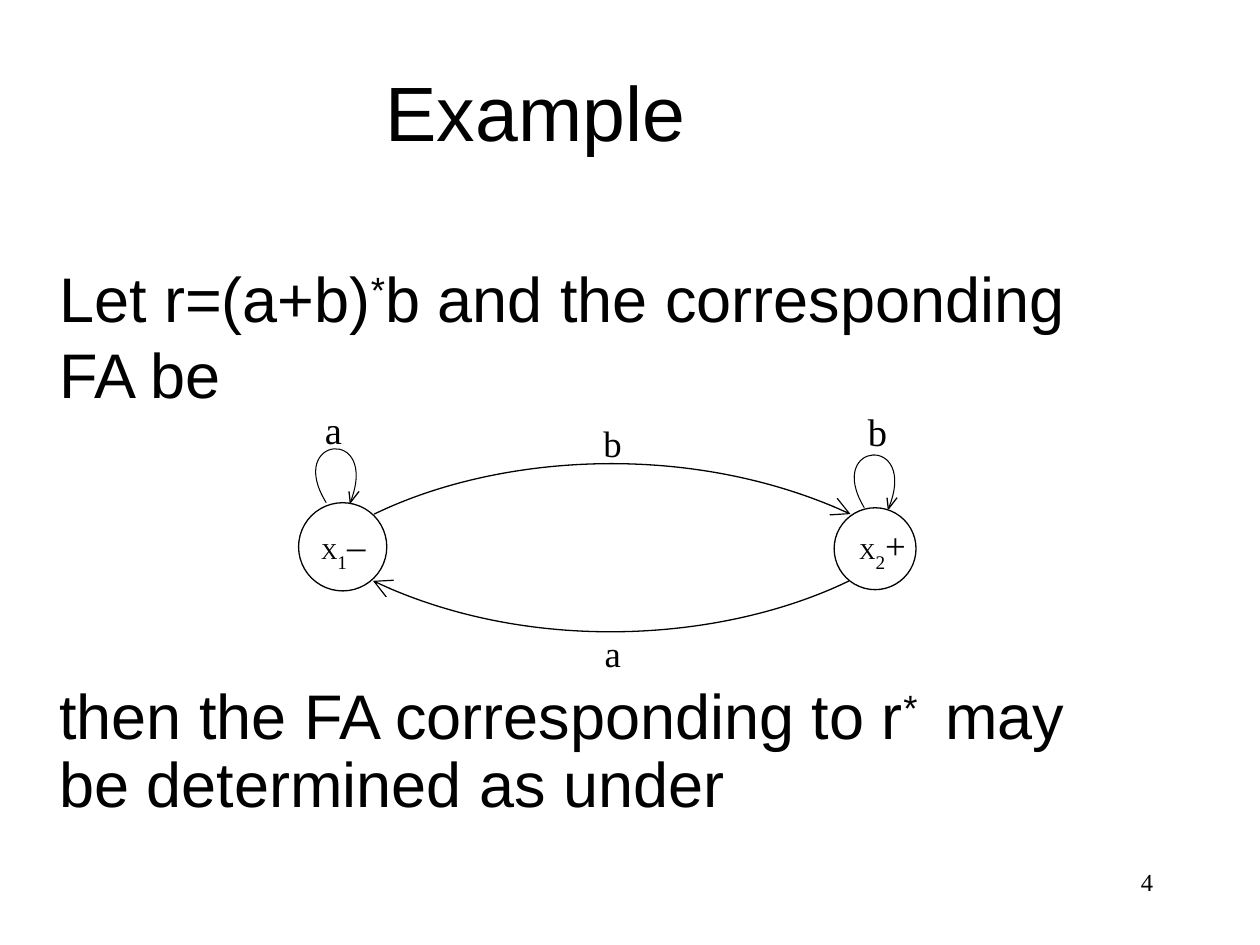
from pptx import Presentation
from pptx.dml.color import RGBColor
from pptx.enum.shapes import MSO_CONNECTOR, MSO_SHAPE
from pptx.enum.text import MSO_ANCHOR, MSO_AUTO_SIZE, PP_ALIGN
from pptx.oxml.ns import qn
from pptx.util import Inches, Pt
from lxml import etree

INK = RGBColor.from_string("000000")
PAPER = RGBColor.from_string("FFFFFF")


def add_spans(para, spans, font):
    """Add (text, size, baseline percent) spans to a paragraph."""
    for text, size, baseline in spans:
        span = para.add_run()
        span.text = text
        span.font.name = font
        span.font.size = Pt(size)
        span.font.color.rgb = INK
        if baseline:
            span.font._element.set("baseline", str(baseline * 1000))


def add_curve(slide, points, weight):
    """Draw a cubic curve through its start, two controls and end."""
    dots = [(Inches(x), Inches(y)) for x, y in points]
    builder = slide.shapes.build_freeform(*dots[0])
    builder.add_line_segments(dots[1:], close=False)
    curve = builder.convert_to_shape()
    # Turn the three line segments into one Bezier segment
    outline = next(curve._element.iter(qn("a:path")))
    bezier = etree.SubElement(outline, qn("a:cubicBezTo"))
    for segment in outline.findall(qn("a:lnTo")):
        bezier.append(segment[0])
        outline.remove(segment)
    curve.shadow.inherit = False
    curve.fill.background()
    curve.line.color.rgb = INK
    curve.line.width = Pt(weight)
    return curve


deck = Presentation()
deck.slide_width, deck.slide_height = Inches(10), Inches(7.5)
slide = deck.slides.add_slide(deck.slide_layouts[1])

# Title
title = slide.shapes.title
title.left, title.top = Inches(0), Inches(0.25)
title.width, title.height = Inches(8.5), Inches(1.25)
title.text_frame.vertical_anchor = MSO_ANCHOR.MIDDLE
title.text_frame.paragraphs[0].alignment = PP_ALIGN.CENTER
add_spans(title.text_frame.paragraphs[0], [("Example", 44, 0)], "Arial")

# Body text, with room for the diagram between the paragraphs
body = slide.placeholders[1]
body.left, body.top = Inches(0), Inches(2.06)
body.width, body.height = Inches(8.94), Inches(4.56)
body.text_frame.auto_size = MSO_AUTO_SIZE.NONE
body.text_frame.margin_top = Inches(0)
statements = [
    (0, 1.0, "Let r=(a+b)", "*", "b and the corresponding FA be"),
    (157, 0.9, "then the FA corresponding to r", "* ", " may be determined as under"),
]
body.text_frame.text = "\n" * (len(statements) - 1)
for para, (gap, spacing, before, star, after) in zip(body.text_frame.paragraphs, statements):
    para.line_spacing = spacing
    para.space_before = Pt(gap)
    add_spans(para, [(before, 36, 0), (star, 36, 30), (after, 36, 0)], "Arial")
    properties = para._p.get_or_add_pPr()
    properties.set("marL", str(Inches(0.37)))
    properties.set("indent", "0")
    etree.SubElement(properties, qn("a:buNone"))

# States
for left, top, size in [(6.62, 4.03, 0.65), (2.37, 3.99, 0.7)]:
    state = slide.shapes.add_shape(MSO_SHAPE.OVAL, Inches(left), Inches(top),
                                   Inches(size), Inches(size))
    state.shadow.inherit = False
    state.fill.solid()
    state.fill.fore_color.rgb = PAPER
    state.line.color.rgb = INK
    state.line.width = Pt(0.75)

# Transitions between the states
for points in [
    [(2.97, 4.08), (3.94, 3.61), (5.5, 3.5), (6.75, 4.08)],
    [(6.74, 4.61), (5.77, 5.08), (4.2, 5.2), (2.96, 4.61)],
]:
    arc = add_curve(slide, points, 0.75)
    etree.SubElement(arc.line._get_or_add_ln(), qn("a:tailEnd"),
                     type="arrow", w="lg", len="lg")

# Loops, each with two strokes for its arrowhead
for points in [
    [(6.86, 4.03), (6.54, 3.5), (7.3, 3.44), (7.05, 4.04)],
    [(2.59, 3.99), (2.26, 3.46), (3.02, 3.38), (2.78, 3.99)],
]:
    add_curve(slide, points, 0.6)
    tip_x, tip_y = points[-1]
    for shift in (0.07, -0.01):
        stroke = slide.shapes.add_connector(
            MSO_CONNECTOR.STRAIGHT, Inches(tip_x + shift), Inches(tip_y - 0.09),
            Inches(tip_x), Inches(tip_y))
        stroke.line.color.rgb = INK
        stroke.line.width = Pt(0.75)
        etree.SubElement(stroke._element.spPr, qn("a:effectLst"))

# Labels and slide number
labels = [
    (6.79, 3.19, 0.84, 0.56, [("b", 22, 0)]),
    (2.48, 3.17, 0.84, 0.56, [("a", 22, 0)]),
    (4.7, 4.96, 0.39, 0.46, [("a", 21, 0)]),
    (4.69, 3.29, 0.33, 0.33, [("b", 21, 0)]),
    (2.45, 4.1, 0.98, 0.5, [("X", 13, 0), ("1", 19, -30), ("–", 21, 0)]),
    (6.72, 4.1, 0.98, 0.5, [("X", 13, 0), ("2", 19, -30), ("+", 21, 0)]),
    (7.17, 6.83, 2.08, 0.5, [("4", 14, 0)]),
]
for left, top, width, height, spans in labels:
    box = slide.shapes.add_textbox(Inches(left), Inches(top), Inches(width), Inches(height))
    box.text_frame.word_wrap = True
    add_spans(box.text_frame.paragraphs[0], spans, "Times New Roman")
box.text_frame.paragraphs[0].alignment = PP_ALIGN.RIGHT

deck.save("out.pptx")
